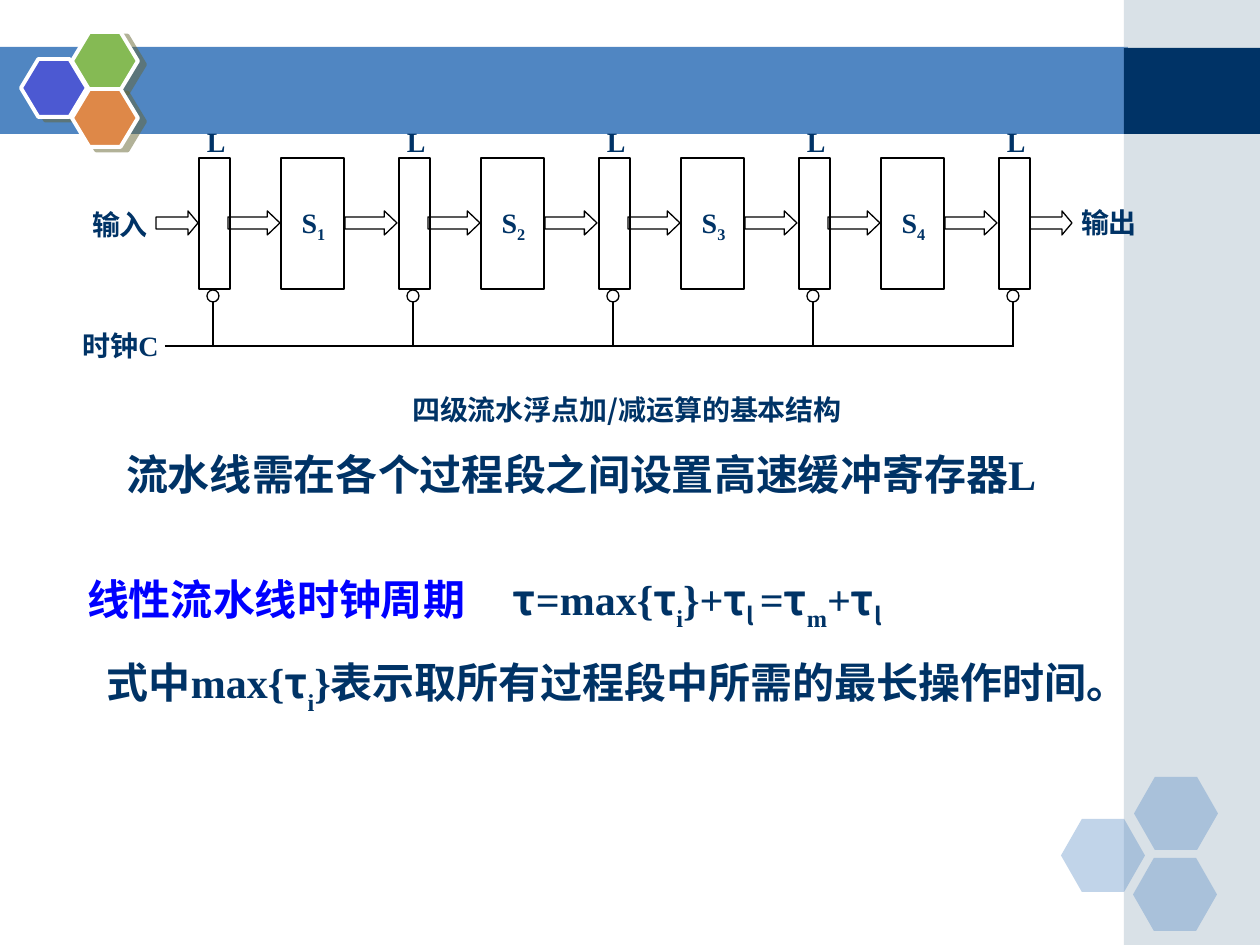
from lxml import etree
from pptx import Presentation
from pptx import util as u
from pptx.dml.color import RGBColor
from pptx.enum import shapes, text
from pptx.oxml.ns import qn

PX = 914400 / 126
COLORS = {
    "band": "5086C2", "navy": "003366", "side": "A0B5C4", "blue": "0000FF",
    "violet": "4C59D2", "green": "85BA54", "orange": "DE8848",
    "shade": "666633", "white": "FFFFFF", "black": "000000",
}
KINDS = shapes.MSO_SHAPE
ALIGN = text.PP_ALIGN
HAN = "Noto Sans CJK SC"
ROMAN = "Times New Roman"

deck = Presentation()
deck.slide_width, deck.slide_height = u.Inches(10), u.Inches(7.5)
page = deck.slides.add_slide(deck.slide_layouts[6])


def draw(kind, at, fill=None, line=None, width=0.75, alpha=None, adjust=()):
    """Add a preset shape; at is left, top, width, height in px."""
    shape = page.shapes.add_shape(kind, *(round(v * PX) for v in at))
    shape.shadow.inherit = False
    for index, value in enumerate(adjust):
        shape.adjustments[index] = value
    if fill:
        shape.fill.solid()
        shape.fill.fore_color.rgb = RGBColor.from_string(COLORS[fill])
    else:
        shape.fill.background()
    if alpha:
        color = shape.fill._xPr.find(".//" + qn("a:srgbClr"))
        etree.SubElement(color, qn("a:alpha"), val=str(alpha * 1000))
    if line:
        shape.line.color.rgb = RGBColor.from_string(COLORS[line])
        shape.line.width = u.Pt(width)
    else:
        shape.line.fill.background()
    return shape


def write(content, at, size=16, font=ROMAN, color="navy", align=ALIGN.CENTER, inset=(0, 0)):
    """Add bold text; content is a string or a list of (string, font, baseline)."""
    box = page.shapes.add_textbox(*(round(v * PX) for v in at))
    frame = box.text_frame
    frame.word_wrap = True
    frame.margin_left = frame.margin_right = round(inset[0] * PX)
    frame.margin_top = frame.margin_bottom = round(inset[1] * PX)
    para = frame.paragraphs[0]
    para.alignment = align
    spans = [(content, font, 0)] if isinstance(content, str) else content
    for words, face, baseline in spans:
        span = para.add_run()
        span.text = words
        span.font.name = face
        span.font.size = u.Pt(size)
        span.font.bold = True
        span.font.color.rgb = RGBColor.from_string(COLORS[color])
        props = span.font._element
        etree.SubElement(props, qn("a:ea"), typeface=HAN)
        if baseline:
            props.set("baseline", str(baseline * 1000))


# Header band and side panel
draw(KINDS.RECTANGLE, (0, 47, 1128, 87), "band")
draw(KINDS.RECTANGLE, (1124, 0, 136, 945), "side", alpha=40)
draw(KINDS.RECTANGLE, (1124, 48, 136, 86), "navy")

# Pale hexagons at the bottom right
for left, top in ((1061, 819), (1134, 777), (1133, 858)):
    draw(KINDS.HEXAGON, (left, top, 84, 73), "band", alpha=35, adjust=(0.286,))

# Coloured hexagons with a shadow at the top left
for left, top, fill in ((21, 59, "violet"), (72, 32, "green"), (72, 89, "orange")):
    cell = draw(KINDS.HEXAGON, (left, top, 66, 58), fill, "white", 2.25, adjust=(0.3,))
    effects = cell._element.spPr.find(qn("a:effectLst"))
    shadow = etree.SubElement(effects, qn("a:outerShdw"), dist=str(u.Pt(4.5)),
                              dir=str(27 * 60000), algn="ctr", rotWithShape="0")
    shade = etree.SubElement(shadow, qn("a:srgbClr"), val=COLORS["shade"])
    etree.SubElement(shade, qn("a:alpha"), val="50000")

# Pipeline: five registers with four stages between them
PITCH = 200
REGISTERS = 5
wires = [(165, 346, 1014, 346)]
arrows = [(156, 42, 0.419), (1030, 42, 0.419)]
for index in range(REGISTERS):
    shift = index * PITCH
    draw(KINDS.RECTANGLE, (199 + shift, 158, 31, 131), line="black")
    draw(KINDS.OVAL, (207 + shift, 290, 12, 12), "white", "black")
    write("L", (207 + shift, 125, 26, 29), align=ALIGN.JUSTIFY)
    wires.append((213 + shift, 346, 213 + shift, 302))
    if index < REGISTERS - 1:
        draw(KINDS.RECTANGLE, (281 + shift, 158, 63, 131), line="black")
        write([("S", ROMAN, 0), (str(index + 1), ROMAN, -25)], (291 + shift, 206, 45, 33))
        arrows += [(228 + shift, 52, 0.524), (345 + shift, 52, 0.524)]

for left, width, head in arrows:
    draw(KINDS.RIGHT_ARROW, (left, 211, width, 24), line="black", adjust=(0.5, head))

# Clock wiring
for wire in wires:
    link = page.shapes.add_connector(shapes.MSO_CONNECTOR.STRAIGHT,
                                     *(round(v * PX) for v in wire))
    link.line.color.rgb = RGBColor.from_string(COLORS["black"])
    link.line.width = u.Pt(0.75)
    etree.SubElement(link._element.spPr, qn("a:effectLst"))

# Diagram labels and caption
write("输入", (84, 208, 72, 33))
write("输出", (1073, 206, 72, 33))
write("时钟C", (74, 329, 93, 33))
write("四级流水浮点加/减运算的基本结构", (319, 391, 616, 59), font=HAN, inset=(0, 2))

# Explanation and clock period formula
body = {"size": 24, "align": ALIGN.LEFT}
write([("流水线需在各个过程段之间设置高速缓冲寄存器", HAN, 0), ("L", ROMAN, 0)],
      (113, 442, 1103, 72), inset=(13, 6), **body)
write("线性流水线时钟周期", (74, 572, 420, 54), font=HAN, color="blue", inset=(13, 1), **body)
tau = ("τ", HAN, 0)
latch = ("l", HAN, -25)
write([tau, ("=max{", ROMAN, 0), tau, ("i", ROMAN, -30), ("}+", ROMAN, 0), tau,
       ("l ", HAN, -25), ("=", ROMAN, 0), tau, ("m", ROMAN, -30), ("+", ROMAN, 0),
       tau, latch],
      (500, 572, 655, 54), inset=(13, 1), **body)
write([("式中", HAN, 0), ("max{", ROMAN, 0), tau, ("i", ROMAN, -30), ("}", ROMAN, 0),
       ("表示取所有过程段中所需的最长操作时间。", HAN, 0)],
      (94, 651, 1081, 113), inset=(13, 6), **body)

deck.save("out.pptx")
